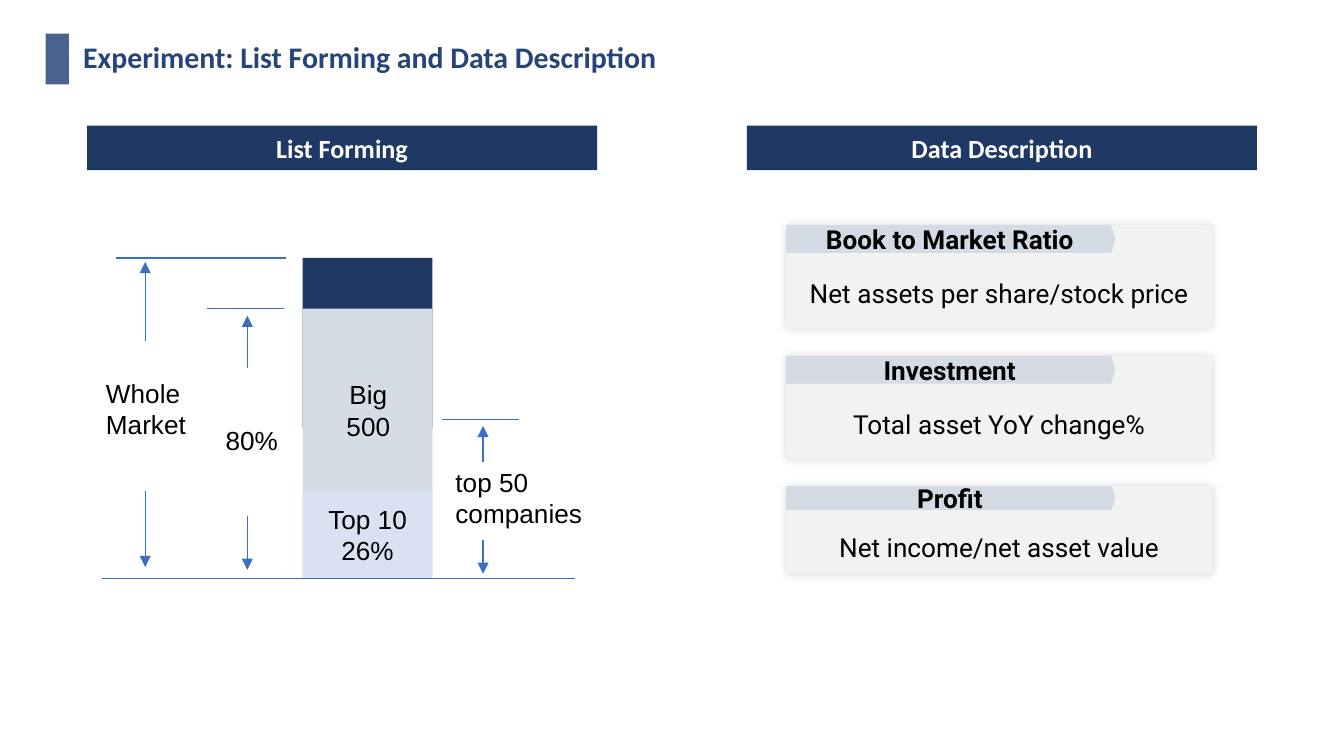
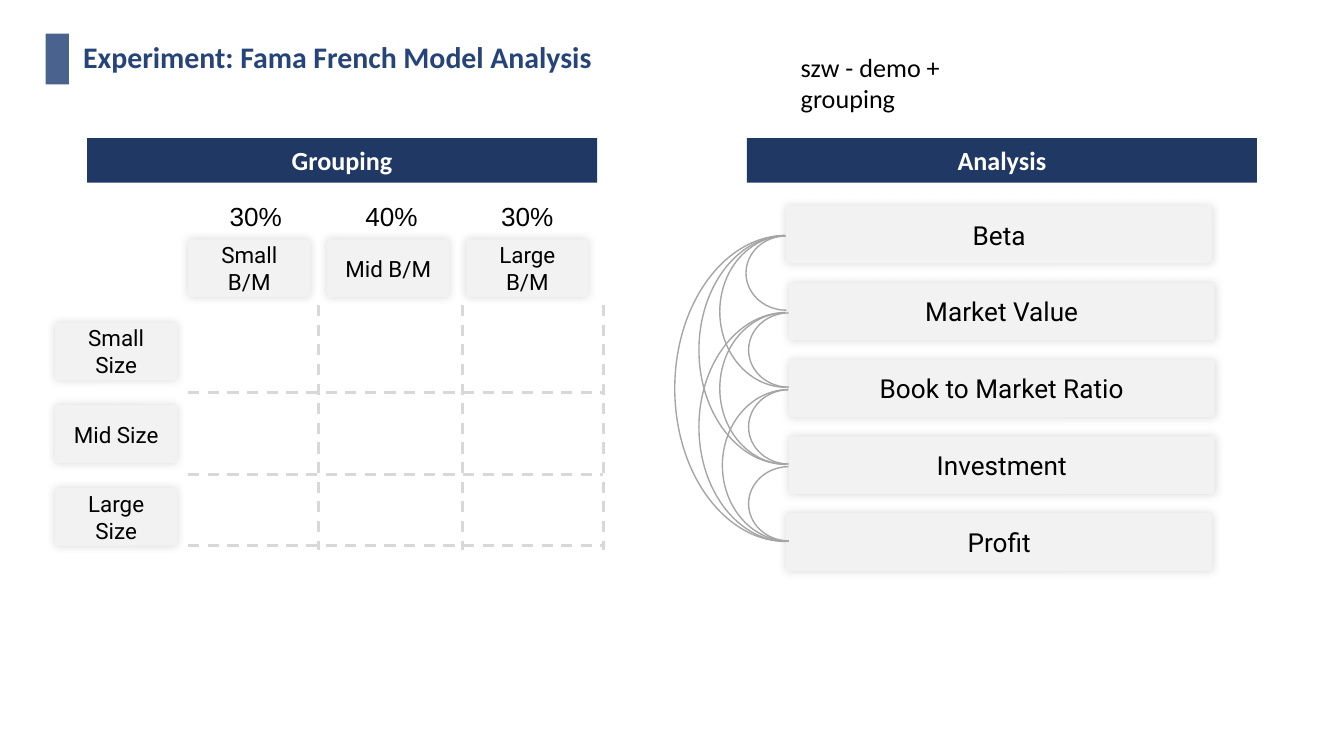
"""Build two experiment slides: list forming with its data, and the Fama French analysis."""
from dataclasses import dataclass
from itertools import combinations
from typing import NamedTuple, Optional

from lxml import etree
from pptx import Presentation
from pptx.dml.color import RGBColor
from pptx.enum import dml, shapes, text
from pptx.oxml import ns
from pptx.util import Pt

NAVY = RGBColor(0x1F, 0x38, 0x64)
TITLE_BLUE = RGBColor(0x26, 0x44, 0x78)
ACCENT = RGBColor(0x4A, 0x63, 0x8E)
BAR_TOP = RGBColor(0x20, 0x38, 0x64)
BAR_MIDDLE = RGBColor(0xD6, 0xDC, 0xE5)
BAR_BOTTOM = RGBColor(0xD8, 0xE2, 0xF3)
CARD_GRAY = RGBColor(0xF2, 0xF2, 0xF2)
TAG_GRAY = RGBColor(0xD5, 0xDB, 0xE5)
LINE_BLUE = RGBColor(0x3E, 0x6E, 0xC2)
GRID_GRAY = RGBColor(0xD8, 0xD8, 0xD8)
ARC_GRAY = RGBColor(0xA5, 0xA5, 0xA5)
WHITE = RGBColor(0xFF, 0xFF, 0xFF)
BLACK = RGBColor(0, 0, 0)

Kind = shapes.MSO_SHAPE
Align = text.PP_ALIGN
Anchor = text.MSO_ANCHOR


class Box(NamedTuple):
    left: float
    top: float
    width: float
    height: float

    def lengths(self) -> list:
        return [Pt(value) for value in self]


class TextStyle(NamedTuple):
    font: str
    size: float = 14
    color: RGBColor = BLACK
    bold: bool = False
    align: Align = Align.CENTER


class Insets(NamedTuple):
    left: float = 7.2
    top: float = 3.6
    right: float = 7.2
    bottom: float = 3.6


@dataclass
class Label:
    words: str
    box: Box
    style: TextStyle
    wrap: bool = True
    insets: Insets = Insets()


@dataclass
class Rule:
    start: tuple
    end: tuple
    color: RGBColor = LINE_BLUE
    width: float = 0.75
    arrow: bool = False
    dashed: bool = False


@dataclass
class DataCard:
    heading: str
    detail: str
    height: float


HEADING = TextStyle("Calibri", 16, TITLE_BLUE, True, Align.LEFT)
BAND = TextStyle("Calibri", 14, WHITE, True)
NOTE = TextStyle("Calibri", align=Align.LEFT)
CENTERED = TextStyle("Arial")
PLAIN = TextStyle("Arial", align=Align.LEFT)
CARD = TextStyle("Roboto")
TAG = TextStyle("Roboto", bold=True)
TILE = TextStyle("Roboto", 12)

CARD_LEFT, CARD_WIDTH = 421.2, 228.2
TILE_HEIGHT = 31


def write_text(shape, words: str, style: TextStyle, insets: Insets = Insets(),
               anchor: Anchor = Anchor.MIDDLE) -> None:
    frame = shape.text_frame
    frame.text = words
    frame.word_wrap = True
    frame.vertical_anchor = anchor
    frame.margin_left, frame.margin_top, frame.margin_right, frame.margin_bottom = (
        Pt(value) for value in insets)
    for paragraph in frame.paragraphs:
        paragraph.alignment = style.align
        for run in paragraph.runs:
            run.font.name = style.font
            run.font.size = Pt(style.size)
            run.font.bold = style.bold
            run.font.color.rgb = style.color


def draw_block(container, kind: Kind, box: Box, fill: RGBColor, words: str = "",
               style: Optional[TextStyle] = None, insets: Insets = Insets()):
    shape = container.add_shape(kind, *box.lengths())
    shape.shadow.inherit = False
    shape.fill.solid()
    shape.fill.fore_color.rgb = fill
    shape.line.fill.background()
    if style:
        write_text(shape, words, style, insets)
    return shape


def draw_tile(container, box: Box, words: str, style: TextStyle,
              insets: Insets = Insets()) -> None:
    shape = draw_block(container, Kind.ROUNDED_RECTANGLE, box, CARD_GRAY, words, style, insets)
    shape.adjustments[0] = 0.047
    effects = shape.element.spPr.find(ns.qn("a:effectLst"))
    shadow = etree.SubElement(effects, ns.qn("a:outerShdw"), blurRad=str(Pt(5)), dist="0",
                              dir="0", algn="ctr", rotWithShape="0")
    color = etree.SubElement(shadow, ns.qn("a:srgbClr"), val=str(BLACK))
    etree.SubElement(color, ns.qn("a:alpha"), val="14000")


def draw_label(slide, label: Label) -> None:
    shape = slide.shapes.add_textbox(*label.box.lengths())
    write_text(shape, label.words, label.style, label.insets, Anchor.TOP)
    shape.text_frame.word_wrap = label.wrap


def draw_rule(slide, rule: Rule) -> None:
    connector = slide.shapes.add_connector(
        shapes.MSO_CONNECTOR.STRAIGHT, *(Pt(value) for value in rule.start + rule.end))
    connector.line.color.rgb = rule.color
    connector.line.width = Pt(rule.width)
    if rule.dashed:
        connector.line.dash_style = dml.MSO_LINE.DASH
    properties = connector.element.spPr
    if rule.arrow:
        etree.SubElement(properties.find(ns.qn("a:ln")), ns.qn("a:tailEnd"), type="triangle")
    etree.SubElement(properties, ns.qn("a:effectLst"))


def draw_arc(slide, box: Box) -> None:
    arc = slide.shapes.add_shape(Kind.ARC, *box.lengths())
    arc.shadow.inherit = False
    arc.adjustments[0], arc.adjustments[1] = 162, 53.607
    arc.rotation = 180
    arc.fill.background()
    arc.line.color.rgb = ARC_GRAY
    arc.line.width = Pt(0.75)


def add_slide(presentation, heading: str, band_top: float, bands: tuple):
    slide = presentation.slides.add_slide(presentation.slide_layouts[5])
    title = slide.shapes.title
    title.left, title.top, title.width, title.height = Box(39.6, 6.5, 381.6, 50.4).lengths()
    write_text(title, heading, HEADING, Insets(5, 2.9, 5, 2.9))
    title.text_frame.auto_size = text.MSO_AUTO_SIZE.NONE
    title.text_frame.paragraphs[0].line_spacing = 0.9
    draw_block(slide.shapes, Kind.RECTANGLE, Box(24.5, 18, 12.5, 27.2), ACCENT)
    for left, words in zip((46.7, 400.2), bands):
        draw_block(slide.shapes, Kind.RECTANGLE, Box(left, band_top, 273.2, 23.9), NAVY, words, BAND)
    return slide


def build_list_slide(presentation) -> None:
    slide = add_slide(presentation, "Experiment: List Forming and Data Description", 67.3,
                      ("List Forming", "Data Description"))
    for top, height, fill, words in (
        (138.2, 91.4, BAR_TOP, ""),
        (165.4, 144.6, BAR_MIDDLE, ""),
        (262.8, 47, BAR_BOTTOM, "Top 10 26%"),
    ):
        draw_block(slide.shapes, Kind.RECTANGLE, Box(162.2, top, 69.5, height), fill, words, CENTERED)

    for left, right, y in ((54.7, 308.2, 310), (61.9, 153.4, 138.2),
                           (110.9, 151.9, 165.4), (236.9, 277.9, 224.6)):
        draw_rule(slide, Rule((left, y), (right, y)))
    for x, start, end in ((77.8, 182.9, 140.4), (77.8, 262.8, 303.8),
                          (132.5, 197.3, 169.2), (132.5, 276.5, 305.3),
                          (258.8, 247.7, 228.2), (258.8, 289.4, 307.4)):
        draw_rule(slide, Rule((x, start), (x, end), arrow=True))
    for label in (
        Label("Whole Market", Box(49.7, 198.7, 69.1, 41), PLAIN),
        Label("80%", Box(113.8, 223.9, 43.2, 24.5), PLAIN, wrap=False),
        Label("Big\n500", Box(172.8, 199.4, 49, 41), CENTERED),
        Label("top 50 companies", Box(236.9, 246.2, 85, 41), PLAIN),
    ):
        draw_label(slide, label)

    for index, card in enumerate((
        DataCard("Book to Market Ratio", "Net assets per share/stock price", 55),
        DataCard("Investment", "Total asset YoY change%", 55.4),
        DataCard("Profit", "Net income/net asset value", 47),
    )):
        top = 120.7 + 69.9 * index
        group = slide.shapes.add_group_shape()
        draw_tile(group.shapes, Box(CARD_LEFT, top, CARD_WIDTH, card.height), card.detail, CARD,
                  Insets(top=21.6))
        tag = draw_block(group.shapes, Kind.PENTAGON, Box(CARD_LEFT, top, 176.4, 0.27 * card.height),
                         TAG_GRAY, card.heading, TAG, Insets(0, 0, 0, 0))
        tag.adjustments[0] = 0.16


def build_analysis_slide(presentation) -> None:
    slide = add_slide(presentation, "Experiment: Fama French Model Analysis", 74,
                      ("Grouping", "Analysis"))
    for index, (share, size) in enumerate(zip(("30%", "40%", "30%"), ("Small", "Mid", "Large"))):
        draw_label(slide, Label(share, Box(115.9 + 72.75 * index, 104, 43.2, 24.5), PLAIN, wrap=False))
        draw_tile(slide.shapes, Box(100.8 + 74.5 * index, 128.2, 65.5, TILE_HEIGHT),
                  f"{size} B/M", TILE)
        draw_tile(slide.shapes, Box(29.5, 172.8 + 44.3 * index, 65.5, TILE_HEIGHT),
                  f"{size} Size", TILE)
    grid = [((100.8, y), (323.3, y)) for y in (210.2, 254.2, 292.3)]
    grid += [((x, 163.4), (x, 294.5)) for x in (170.6, 247.7, 323.3)]
    for start, end in grid:
        draw_rule(slide, Rule(start, end, GRID_GRAY, 1.5, dashed=True))

    factors = ("Beta", "Market Value", "Book to Market Ratio", "Investment", "Profit")
    first_top, pitch, shift = 110.2, 41.2, 1.4
    for index, factor in enumerate(factors):
        left = CARD_LEFT + (shift if 0 < index < len(factors) - 1 else 0)
        draw_tile(slide.shapes, Box(left, first_top + pitch * index, CARD_WIDTH, TILE_HEIGHT),
                  factor, CARD)
    arc_widths = {1: 43.2, 2: 71.3, 3: 93.6, 4: 119.5}
    for start, end in combinations(range(len(factors)), 2):
        span = end - start
        width, height = arc_widths[span], 41.4 * span - 1.6
        center_x = CARD_LEFT + (shift if start >= span else 0)
        center_y = first_top + TILE_HEIGHT / 2 + pitch * (start + end) / 2
        draw_arc(slide, Box(center_x - width / 2, center_y - height / 2, width, height))
    draw_label(slide, Label("szw - demo + grouping", Box(421.9, 20.2, 136.8, 48.2), NOTE,
                            insets=Insets(7.2, 7.2, 7.2, 7.2)))


def main() -> None:
    presentation = Presentation()
    presentation.slide_width, presentation.slide_height = Pt(720), Pt(405)
    build_list_slide(presentation)
    build_analysis_slide(presentation)
    presentation.save("out.pptx")


if __name__ == "__main__":
    main()
